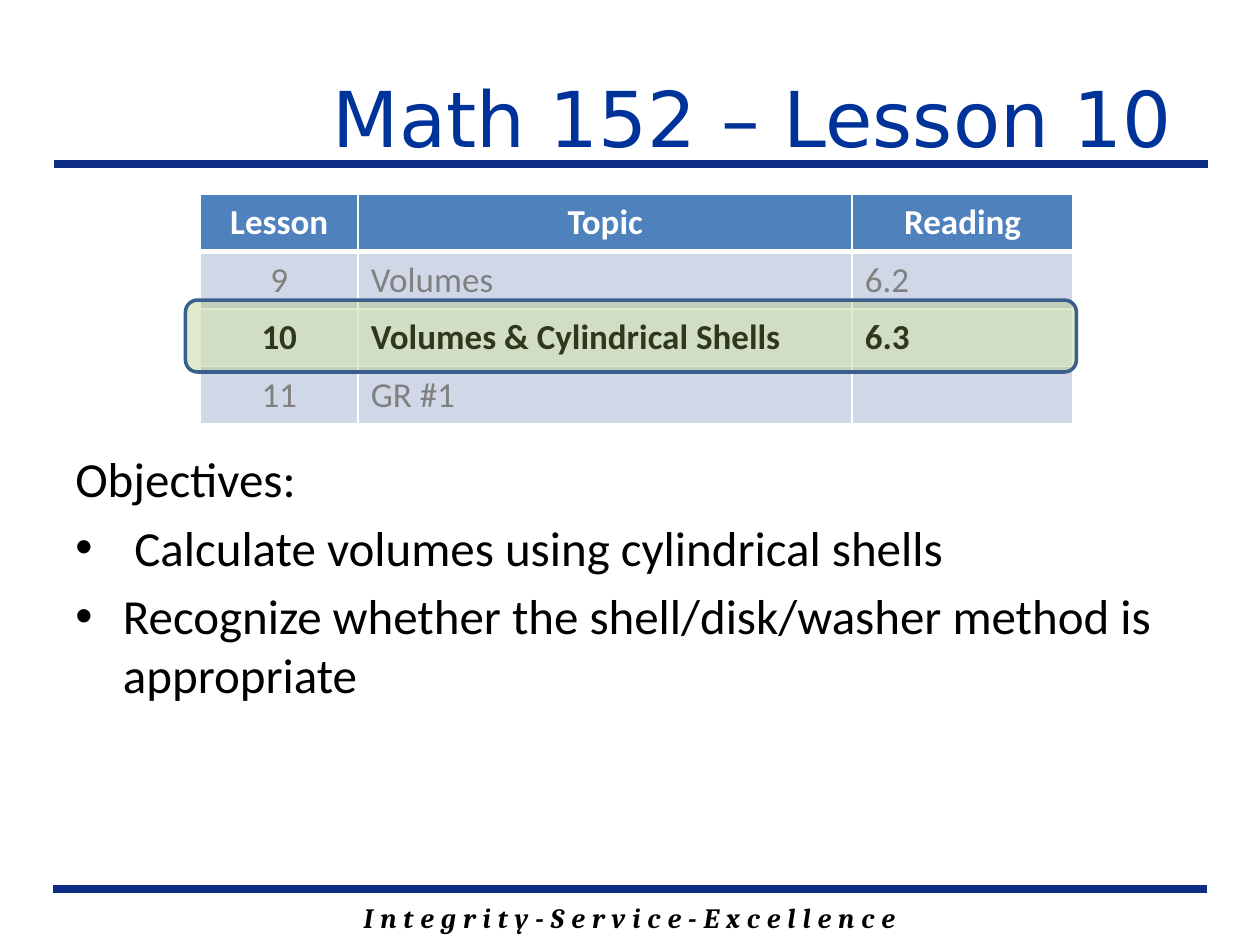
from lxml import etree
from pptx import Presentation
from pptx.dml.color import RGBColor
from pptx.enum.shapes import MSO_CONNECTOR, MSO_SHAPE
from pptx.enum.text import MSO_ANCHOR, PP_ALIGN
from pptx.oxml.ns import qn
from pptx.util import Cm, Pt

LEFT, CENTER, RIGHT = PP_ALIGN.LEFT, PP_ALIGN.CENTER, PP_ALIGN.RIGHT
MIDDLE = MSO_ANCHOR.MIDDLE
STRAIGHT = MSO_CONNECTOR.STRAIGHT
ROUNDED = MSO_SHAPE.ROUNDED_RECTANGLE

BLACK, WHITE, GRAY = "000000", "FFFFFF", "808080"
RULE_BLUE, TITLE_BLUE = "0C2D83", "003399"
HEADER_FILL, BAND_FILL, CURRENT_FILL = "4F81BD", "D0D8E8", "E9EDF4"

COLUMN_WIDTHS = (3.18, 9.96, 4.45)
ROW_HEIGHT = 1.16
CURRENT_ROW = 2
LESSONS = [
    ("Lesson", "Topic", "Reading"),
    ("9", "Volumes", "6.2"),
    ("10", "Volumes & Cylindrical Shells", "6.3"),
    ("11", "GR #1", ""),
]
# Text and hanging indent in cm; no indent means no bullet
OBJECTIVES = [
    ("Objectives:", 0),
    ("Calculate volumes using cylindrical shells", 1.19),
    ("Recognize whether the shell/disk/washer method is appropriate", 0.96),
]


def rgb(color):
    return RGBColor.from_string(color)


def style_font(font, name, size, color, bold=False, italic=False):
    font.name, font.size = name, Pt(size)
    font.bold, font.italic = bold, italic
    font.color.rgb = rgb(color)


def add_text_box(slide, left, top, width, height):
    text_frame = slide.shapes.add_textbox(
        Cm(left), Cm(top), Cm(width), Cm(height)).text_frame
    text_frame.word_wrap = True
    return text_frame


def add_rule(slide, left, top, width):
    rule = slide.shapes.add_connector(
        STRAIGHT, Cm(left), Cm(top), Cm(left + width), Cm(top))
    rule.line.color.rgb = rgb(RULE_BLUE)
    rule.line.width = Pt(4.5)
    etree.SubElement(rule._element.spPr, qn("a:effectLst"))


def add_title(slide, left, top, width, height):
    text_frame = add_text_box(slide, left, top, width, height)
    text_frame.vertical_anchor = MIDDLE
    text_frame.margin_right = Cm(0.74)
    text_frame.text = "Math 152 – Lesson 10"
    paragraph = text_frame.paragraphs[0]
    paragraph.alignment = RIGHT
    style_font(paragraph.runs[0].font, "DejaVu Sans", 44, TITLE_BLUE)
    add_rule(slide, left - 3.48, top + 2.54, 23.27)


def add_footer(slide, left, top, width, height):
    add_rule(slide, left - 2.54, top - 0.1, 23.27)
    text_frame = add_text_box(slide, left, top, width, height)
    text_frame.text = "I n t e g r i t y - S e r v i c e - E x c e l l e n c e"
    paragraph = text_frame.paragraphs[0]
    paragraph.alignment = CENTER
    font = paragraph.runs[0].font
    style_font(font, "Cambria", 16, BLACK, bold=True, italic=True)
    font._element.set("spc", "25")


def set_borders(cell, row):
    """Draw white cell borders, thicker between the header and the body."""
    widths = {"L": 1, "R": 1, "T": 3 if row == 1 else 1, "B": 3 if row == 0 else 1}
    properties = cell._tc.get_or_add_tcPr()
    for position, (side, width) in enumerate(widths.items()):
        border = etree.Element(qn(f"a:ln{side}"), w=str(Pt(width)))
        fill = etree.SubElement(border, qn("a:solidFill"))
        etree.SubElement(fill, qn("a:srgbClr"), val=WHITE)
        properties.insert(position, border)


def fill_cell(cell, text, row, column):
    if row == 0:
        fill, color = HEADER_FILL, WHITE
    elif row == CURRENT_ROW:
        fill, color = CURRENT_FILL, BLACK
    else:
        fill, color = BAND_FILL, GRAY
    cell.fill.solid()
    cell.fill.fore_color.rgb = rgb(fill)
    set_borders(cell, row)
    cell.vertical_anchor = MIDDLE
    cell.text = text
    paragraph = cell.text_frame.paragraphs[0]
    paragraph.alignment = CENTER if row == 0 or column == 0 else LEFT
    for run in paragraph.runs:
        style_font(run.font, "Calibri", 20, color, bold=row in (0, CURRENT_ROW))


def add_lesson_table(slide, left, top):
    width = sum(COLUMN_WIDTHS)
    table = slide.shapes.add_table(
        len(LESSONS), len(COLUMN_WIDTHS), Cm(left), Cm(top),
        Cm(width), Cm(ROW_HEIGHT * len(LESSONS))).table
    for column, column_width in enumerate(COLUMN_WIDTHS):
        table.columns[column].width = Cm(column_width)
    for row, texts in enumerate(LESSONS):
        table.rows[row].height = Cm(ROW_HEIGHT)
        for column, text in enumerate(texts):
            fill_cell(table.cell(row, column), text, row, column)

    row_top = top + CURRENT_ROW * ROW_HEIGHT
    highlight = slide.shapes.add_shape(
        ROUNDED, Cm(left - 0.3), Cm(row_top - 0.18), Cm(width + 0.37), Cm(1.45))
    highlight.shadow.inherit = False
    highlight.line.color.rgb = rgb("3A5F8C")
    highlight.line.width = Pt(2)
    highlight.fill.solid()
    highlight.fill.fore_color.rgb = rgb("9BBB59")
    color = highlight._element.spPr.find(qn("a:solidFill")).find(qn("a:srgbClr"))
    etree.SubElement(color, qn("a:alpha"), val="30000")


def add_objectives(slide, left, top, width, height):
    text_frame = add_text_box(slide, left, top, width, height)
    for index, (text, indent) in enumerate(OBJECTIVES):
        paragraph = text_frame.add_paragraph() if index else text_frame.paragraphs[0]
        paragraph.text = text
        if index:
            paragraph.space_before = Pt(5.6)
        if indent:
            properties = paragraph._p.get_or_add_pPr()
            properties.set("marL", str(Cm(indent)))
            properties.set("indent", str(-Cm(indent)))
            etree.SubElement(properties, qn("a:buFont"), typeface="Arial")
            etree.SubElement(properties, qn("a:buChar"), char="•")
        style_font(paragraph.runs[0].font, "Calibri", 28, BLACK)


def main():
    presentation = Presentation()
    presentation.slide_width, presentation.slide_height = Cm(25.4), Cm(19.05)
    slide = presentation.slides.add_slide(presentation.slide_layouts[6])
    add_footer(slide, 3.6, 18.03, 18.21, 0.94)
    add_title(slide, 4.57, 0.76, 19.81, 3.18)
    add_objectives(slide, 1.27, 8.92, 22.86, 8.43)
    add_lesson_table(slide, 4.04, 3.91)
    presentation.save("out.pptx")


if __name__ == "__main__":
    main()
